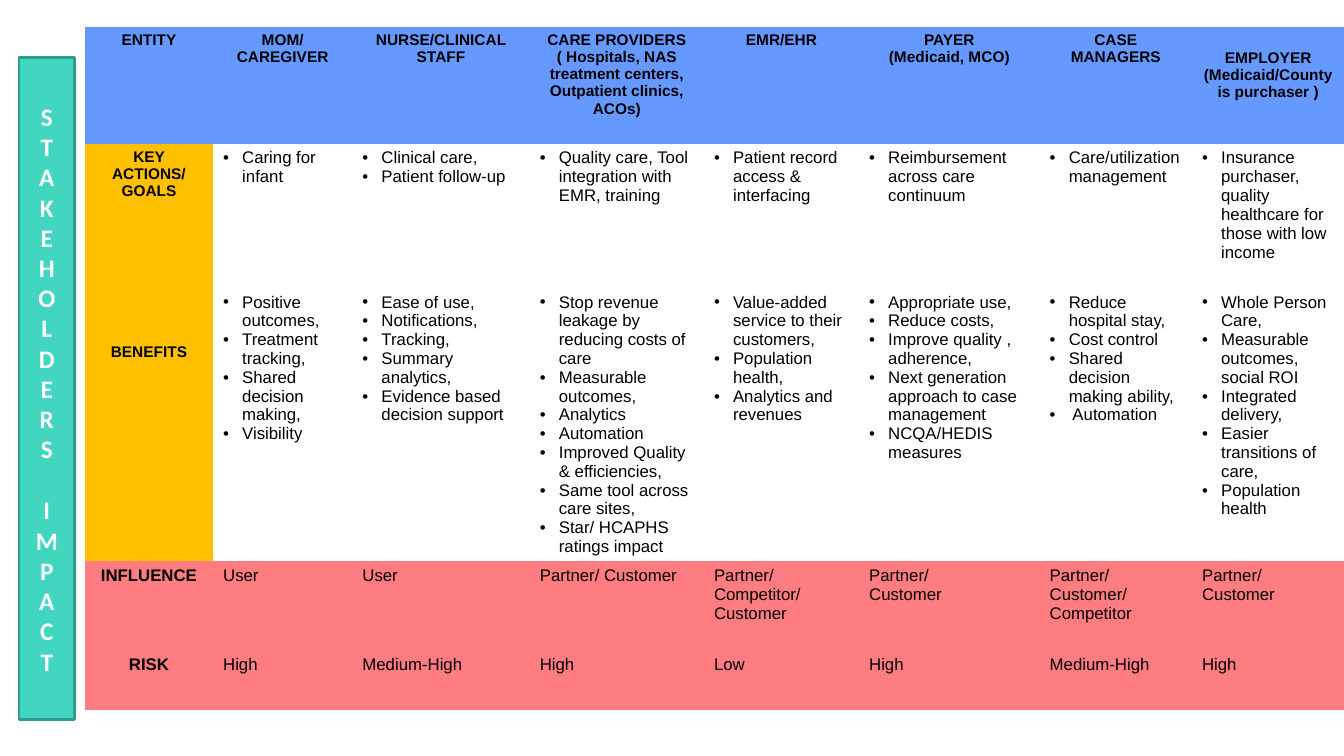
from dataclasses import dataclass

from lxml import etree
from pptx import Presentation
from pptx.dml.color import RGBColor
from pptx.enum.shapes import MSO_SHAPE
from pptx.enum.text import MSO_ANCHOR, PP_ALIGN
from pptx.oxml.ns import qn
from pptx.util import Cm, Pt

RECT = MSO_SHAPE.RECTANGLE
MIDDLE = MSO_ANCHOR.MIDDLE
CENTER, LEFT = PP_ALIGN.CENTER, PP_ALIGN.LEFT


@dataclass(frozen=True)
class Theme:
    ink: str = "000000"
    white: str = "FFFFFF"
    blue: str = "6699FF"
    gold: str = "FFC000"
    red: str = "FF7C80"
    teal: str = "42D6C1"
    edge: str = "309C8C"
    font: str = "Arial"
    side: str = "Calibri"
    head: int = 11
    body: int = 12
    large: int = 18


WIDTHS = [3.23, 3.51, 4.47, 4.39, 3.91, 4.55, 3.84, 3.84]
HEIGHTS = [2.95, 3.63, 5.49, 2.24, 1.52]
DROPS = {(0, 7): 0.57, (2, 0): 1.42}
ROWS = [
    ["ENTITY", "MOM/\nCAREGIVER", "NURSE/CLINICAL STAFF",
     "CARE PROVIDERS\n( Hospitals, NAS treatment centers, Outpatient clinics, ACOs)",
     "EMR/EHR", "PAYER\n(Medicaid, MCO)", "CASE MANAGERS",
     "EMPLOYER (Medicaid/County is purchaser )"],
    ["KEY ACTIONS/\nGOALS", "Caring for infant",
     "Clinical care,\nPatient follow-up",
     "Quality care, Tool integration with EMR, training",
     "Patient record access & interfacing",
     "Reimbursement across care continuum",
     "Care/utilization management",
     "Insurance purchaser, quality healthcare for those with low income"],
    ["BENEFITS",
     "Positive outcomes,\nTreatment tracking,\nShared decision making,\nVisibility",
     "Ease of use,\nNotifications,\nTracking,\nSummary analytics,\n"
     "Evidence based decision support",
     "Stop revenue leakage by reducing costs of care\nMeasurable outcomes,\n"
     "Analytics\nAutomation\nImproved Quality & efficiencies,\n"
     "Same tool across care sites,\nStar/ HCAPHS ratings impact",
     "Value-added service to their customers,\nPopulation health,\n"
     "Analytics and revenues",
     "Appropriate use,\nReduce costs,\nImprove quality , adherence,\n"
     "Next generation approach to case management\nNCQA/HEDIS measures",
     "Reduce hospital stay,\nCost control\nShared decision making ability,\n"
     " Automation",
     "Whole Person Care,\nMeasurable outcomes, social ROI\nIntegrated delivery,\n"
     "Easier transitions of care,\nPopulation health"],
    ["INFLUENCE", "User", "User", "Partner/ Customer",
     "Partner/ Competitor/ Customer", "Partner/\nCustomer",
     "Partner/\nCustomer/ Competitor", "Partner/Customer"],
    ["RISK", "High", "Medium-High", "High", "Low", "High", "Medium-High", "High"],
]


def color(code):
    return RGBColor.from_string(code)


def bullet(para, code):
    props = para._p.get_or_add_pPr()
    props.set("marL", str(Cm(0.48)))
    props.set("indent", str(-Cm(0.48)))
    tint = etree.SubElement(props, qn("a:buClr"))
    etree.SubElement(tint, qn("a:srgbClr"), val=code)
    etree.SubElement(props, qn("a:buFont"), typeface="Arial")
    etree.SubElement(props, qn("a:buChar"), char="•")


def write(frame, text, *, font, size, ink, bold=False, align=LEFT, dots=False):
    for index, line in enumerate(text.split("\n")):
        para = frame.add_paragraph() if index else frame.paragraphs[0]
        para.alignment = align
        if dots:
            bullet(para, ink)
        run = para.add_run()
        run.text = line
        run.font.name = font
        run.font.size = Pt(size)
        run.font.bold = bold
        run.font.color.rgb = color(ink)


class Board:
    def __init__(self, slide, theme):
        self.slide = slide
        self.theme = theme

    def grid(self, left, top, rows):
        frame = self.slide.shapes.add_table(
            len(HEIGHTS), len(WIDTHS), Cm(left), Cm(top),
            Cm(sum(WIDTHS)), Cm(sum(HEIGHTS)))
        table = frame.table
        table.first_row = table.horz_banding = False
        for col, width in zip(table.columns, WIDTHS):
            col.width = Cm(width)
        for row, height in zip(table.rows, HEIGHTS):
            row.height = Cm(height)
        for r, texts in enumerate(rows):
            for c, text in enumerate(texts):
                self.cell(table.cell(r, c), r, c, text)

    def cell(self, cell, r, c, text):
        theme = self.theme
        title = r == 0 or c == 0
        listed = r in (1, 2)
        props = cell._tc.get_or_add_tcPr()
        for side in ("L", "R", "T", "B"):
            line = etree.SubElement(props, qn(f"a:ln{side}"), w="0")
            etree.SubElement(line, qn("a:noFill"))
        if r == 0:
            fill = theme.blue
        elif not listed:
            fill = theme.red
        else:
            fill = theme.gold if title else theme.white
        cell.fill.solid()
        cell.fill.fore_color.rgb = color(fill)
        if (r, c) in DROPS:
            cell.margin_top = Cm(DROPS[r, c])
        write(cell.text_frame, text, font=theme.font, ink=theme.ink,
              size=theme.head if title and r < 3 else theme.body,
              bold=title, align=CENTER if title else LEFT,
              dots=listed and not title)

    def banner(self, left, top, width, height, words):
        theme = self.theme
        shape = self.slide.shapes.add_shape(
            RECT, Cm(left), Cm(top), Cm(width), Cm(height))
        shape.shadow.inherit = False
        shape.fill.solid()
        shape.fill.fore_color.rgb = color(theme.teal)
        shape.line.color.rgb = color(theme.edge)
        shape.line.width = Pt(2)
        frame = shape.text_frame
        frame.word_wrap = True
        frame.vertical_anchor = MIDDLE
        write(frame, "\n".join("".join(words)), font=theme.side,
              size=theme.large, ink=theme.white, bold=True, align=CENTER)
        frame.paragraphs[len(words[0])].space_before = Pt(22)


def main():
    deck = Presentation()
    deck.slide_width, deck.slide_height = Cm(33.87), Cm(19.05)
    board = Board(deck.slides.add_slide(deck.slide_layouts[6]), Theme())
    board.grid(2.14, 0.67, ROWS)
    board.banner(0.48, 1.45, 1.4, 16.69, ["STAKEHOLDERS", "IMPACT"])
    deck.save("out.pptx")


if __name__ == "__main__":
    main()
